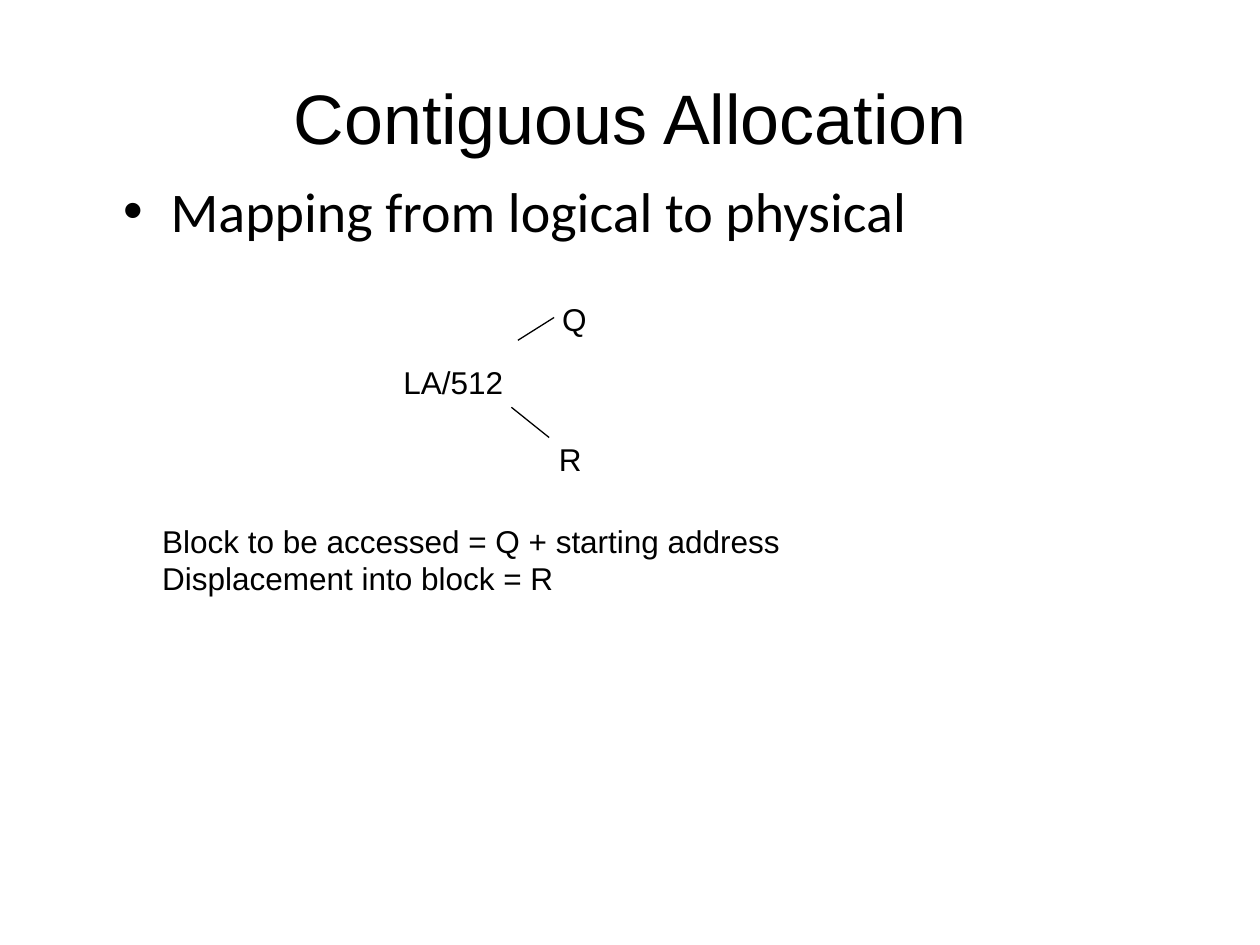
from lxml.etree import SubElement
from pptx import Presentation
from pptx.dml.color import RGBColor
from pptx.enum.shapes import MSO_CONNECTOR as CONN
from pptx.enum.text import MSO_ANCHOR as ANCHOR, MSO_AUTO_SIZE as FIT, PP_ALIGN as ALIGN
from pptx.oxml.ns import qn
from pptx.util import Cm, Pt

BLACK = "000000"


def rgb(value):
    """Turn a hex string into a colour."""
    return RGBColor.from_string(value)


def write(tf, text, size=18, font="Arial", color=BLACK, align=ALIGN.LEFT,
          anchor=ANCHOR.TOP, before=0, margin=0, indent=0, bullet=None):
    """Fill a text frame with one paragraph per line of text."""
    tf.word_wrap = True
    tf.auto_size = FIT.NONE
    tf.vertical_anchor = anchor
    for i, line in enumerate(text.split("\n")):
        p = tf.add_paragraph() if i else tf.paragraphs[0]
        p.alignment = align
        p.space_before = Pt(before)
        r = p.add_run()
        r.text = line
        r.font.size = Pt(size)
        r.font.name = font
        r.font.color.rgb = rgb(color)
        pPr = p._p.get_or_add_pPr()
        pPr.set("marL", str(Cm(margin)))
        pPr.set("indent", str(Cm(indent)))
        if bullet:
            SubElement(pPr, qn("a:buFont")).set("typeface", "Arial")
            SubElement(pPr, qn("a:buChar")).set("char", bullet)


def add_text(slide, box, text, **fmt):
    """Add a text box at the given left, top, width and height."""
    sp = slide.shapes.add_textbox(*map(Cm, box))
    write(sp.text_frame, text, **fmt)


def add_line(slide, x1, y1, x2, y2):
    """Add a thin straight line without a shadow."""
    line = slide.shapes.add_connector(CONN.STRAIGHT, Cm(x1), Cm(y1), Cm(x2), Cm(y2))
    line.line.color.rgb = rgb(BLACK)
    line.line.width = Pt(0.75)
    SubElement(line._element.spPr, qn("a:effectLst"))


def place_title(slide, box, text):
    """Move and format the title placeholder."""
    title = slide.shapes.title
    title.left, title.top, title.width, title.height = map(Cm, box)
    write(title.text_frame, text, size=40, align=ALIGN.CENTER, anchor=ANCHOR.MIDDLE)


def division_diagram(slide, left, top):
    """Draw the address split into quotient and remainder."""
    labels = [("LA/512", 0, 1.27, 3.5), ("Q", 3.07, 0, 2.24), ("R", 3.23, 2.82, 1.75)]
    for text, x, y, width in labels:
        add_text(slide, (left + x, top + y, width, 1.02), text, before=9,
                 align=ALIGN.CENTER, anchor=ANCHOR.MIDDLE)
    for x1, y1, x2, y2 in [(3.05, 0.94, 3.78, 0.48), (2.92, 2.29, 3.68, 2.9)]:
        add_line(slide, left + x1, top + y1, left + x2, top + y2)


def main():
    """Build and save the slide."""
    prs = Presentation()
    prs.slide_width, prs.slide_height = Cm(25.4), Cm(19.05)
    slide = prs.slides.add_slide(prs.slide_layouts[5])
    place_title(slide, (1.27, 0.76, 22.86, 3.18), "Contiguous Allocation")
    add_text(slide, (2.24, 3.43, 20.42, 9.7), "Mapping from logical to physical",
             size=32, font="Calibri", before=6.4, margin=0.95, indent=-0.95, bullet="•")
    division_diagram(slide, 7.39, 5.92)
    add_text(slide, (1.75, 10.39, 20.22, 2.29),
             "Block to be accessed = Q + starting address\nDisplacement into block = R",
             margin=1.27)
    prs.save("out.pptx")


if __name__ == "__main__":
    main()
